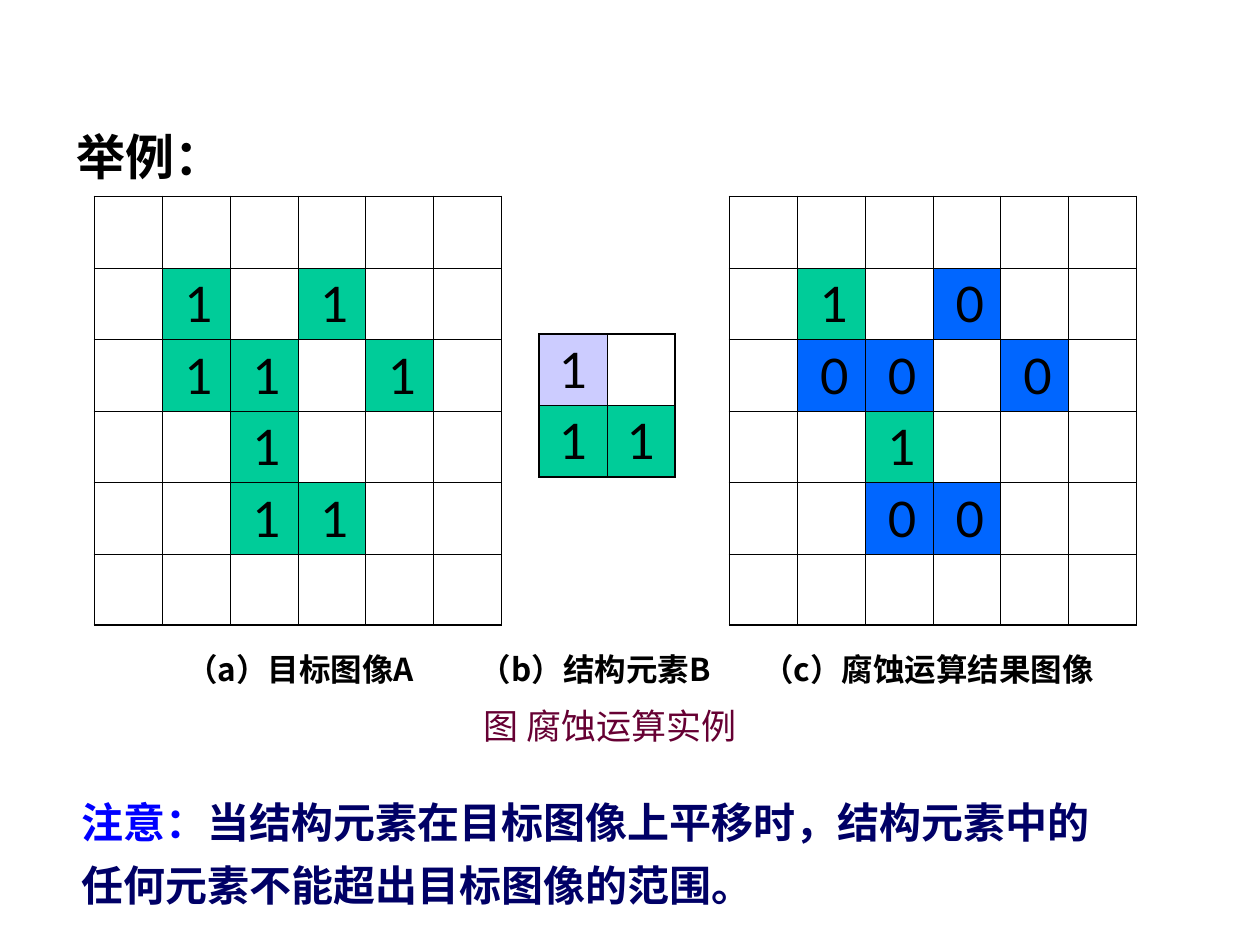
from lxml.etree import SubElement
from pptx import Presentation
from pptx.dml.color import RGBColor
from pptx.enum.text import MSO_ANCHOR, MSO_AUTO_SIZE, PP_ALIGN
from pptx.oxml.ns import qn
from pptx.util import Inches, Pt

BLACK = RGBColor(0x00, 0x00, 0x00)
GREEN = RGBColor(0x00, 0xCC, 0x99)
BLUE = RGBColor(0x00, 0x66, 0xFF)
LAVENDER = RGBColor(0xCC, 0xCC, 0xFF)
PLUM = RGBColor(0x66, 0x00, 0x33)
BRIGHT_BLUE = RGBColor(0x00, 0x00, 0xFF)
NAVY = RGBColor(0x00, 0x00, 0x66)

CHINESE_FONT = "Noto Sans CJK SC"
DIGIT_FONT = "Lato"
CELL_WIDTH = 3.23 / 6
CELL_HEIGHT = 3.4 / 6
OUTER_LINE = Pt(1.08)
INNER_LINE = Pt(0.45)

CELL_STYLES = {
    "1": ("1", GREEN),
    "0": ("0", BLUE),
    "o": ("1", LAVENDER),
}
TARGET_IMAGE = ["......", ".1.1..", ".11.1.", "..1...", "..11..", "......"]
STRUCTURING_ELEMENT = ["o.", "11"]
ERODED_IMAGE = ["......", ".1.0..", ".00.0.", "..1...", "..00..", "......"]


def add_run(paragraph, text, font_name, size, color, bold=False):
    run = paragraph.add_run()
    run.text = text
    font_format = {"name": font_name, "size": Pt(size), "bold": bold}
    for attribute, value in font_format.items():
        setattr(run.font, attribute, value)
    run.font.color.rgb = color
    east_asian = SubElement(run._r.get_or_add_rPr(), qn("a:ea"))
    east_asian.set("typeface", font_name)


def set_borders(cell, widths):
    properties = cell._tc.get_or_add_tcPr()
    for position, (side, width) in enumerate(widths.items()):
        line = SubElement(properties, qn(f"a:ln{side}"), w=str(width))
        fill = SubElement(line, qn("a:solidFill"))
        SubElement(fill, qn("a:srgbClr"), val=str(BLACK))
        properties.insert(position, line)


def add_pixel_grid(slide, left, top, pattern, margin_left, anchor):
    row_count, column_count = len(pattern), len(pattern[0])
    table = slide.shapes.add_table(
        row_count, column_count, Inches(left), Inches(top),
        Inches(column_count * CELL_WIDTH), Inches(row_count * CELL_HEIGHT),
    ).table
    table.first_row = False
    table.horz_banding = False
    for row_index, marks in enumerate(pattern):
        for column_index, mark in enumerate(marks):
            cell = table.cell(row_index, column_index)
            edges = {
                "L": column_index == 0,
                "R": column_index == column_count - 1,
                "T": row_index == 0,
                "B": row_index == row_count - 1,
            }
            set_borders(cell, {side: OUTER_LINE if outer else INNER_LINE
                               for side, outer in edges.items()})
            if mark not in CELL_STYLES:
                cell.fill.background()
                continue
            digit, color = CELL_STYLES[mark]
            cell.fill.solid()
            cell.fill.fore_color.rgb = color
            cell.margin_left = Inches(margin_left)
            cell.margin_right = Inches(0.08)
            cell.vertical_anchor = anchor
            add_run(cell.text_frame.paragraphs[0], digit, DIGIT_FONT, 28, BLACK)


def fill_text(shape, runs, line_spacing=1.0):
    frame_format = {
        "word_wrap": True,
        "auto_size": MSO_AUTO_SIZE.NONE,
        "vertical_anchor": MSO_ANCHOR.TOP,
    }
    for attribute, value in frame_format.items():
        setattr(shape.text_frame, attribute, value)
    paragraph = shape.text_frame.paragraphs[0]
    paragraph.alignment = PP_ALIGN.LEFT
    paragraph.line_spacing = line_spacing
    for text, size, color, bold in runs:
        add_run(paragraph, text, CHINESE_FONT, size, color, bold)
    return paragraph


def place_title(slide, left, top, width, height):
    title = slide.shapes.title
    box = {"left": left, "top": top, "width": width, "height": height}
    for attribute, value in box.items():
        setattr(title, attribute, Inches(value))
    fill_text(title, [("举例：", 28, BLACK, True)], 1.25)


def add_text(slide, left, top, width, height, runs, line_spacing=1.0):
    text_box = slide.shapes.add_textbox(
        Inches(left), Inches(top), Inches(width), Inches(height))
    return fill_text(text_box, runs, line_spacing)


def add_grid_captions(slide, left, top, width, height):
    captions = "（a）目标图像A\t（b）结构元素B\t（c）腐蚀运算结果图像"
    paragraph = add_text(slide, left, top, width, height,
                         [(captions, 18, BLACK, True)])
    tab_list = SubElement(paragraph._p.get_or_add_pPr(), qn("a:tabLst"))
    for position in (2.33, 4.57):
        SubElement(tab_list, qn("a:tab"), pos=str(Inches(position)), algn="l")


def main():
    presentation = Presentation()
    presentation.slide_width = Inches(10)
    presentation.slide_height = Inches(7.5)
    slide = presentation.slides.add_slide(presentation.slide_layouts[5])

    place_title(slide, 0.51, 0.84, 9.21, 0.69)
    add_pixel_grid(slide, 0.75, 1.56, TARGET_IMAGE, 0.18, MSO_ANCHOR.BOTTOM)
    add_pixel_grid(slide, 4.28, 2.65, STRUCTURING_ELEMENT, 0.16, MSO_ANCHOR.TOP)
    add_pixel_grid(slide, 5.79, 1.56, ERODED_IMAGE, 0.18, MSO_ANCHOR.BOTTOM)
    add_grid_captions(slide, 1.38, 5.11, 7.56, 0.7)
    add_text(slide, 3.74, 5.54, 4.17, 0.44,
             [("图 腐蚀运算实例", 20, PLUM, False)])
    note = "当结构元素在目标图像上平移时，结构元素中的任何元素不能超出目标图像的范围。"
    add_text(slide, 0.55, 6.17, 8.2, 1.1,
             [("注意：", 24, BRIGHT_BLUE, True), (note, 24, NAVY, True)], 1.25)

    presentation.save("out.pptx")


if __name__ == "__main__":
    main()
